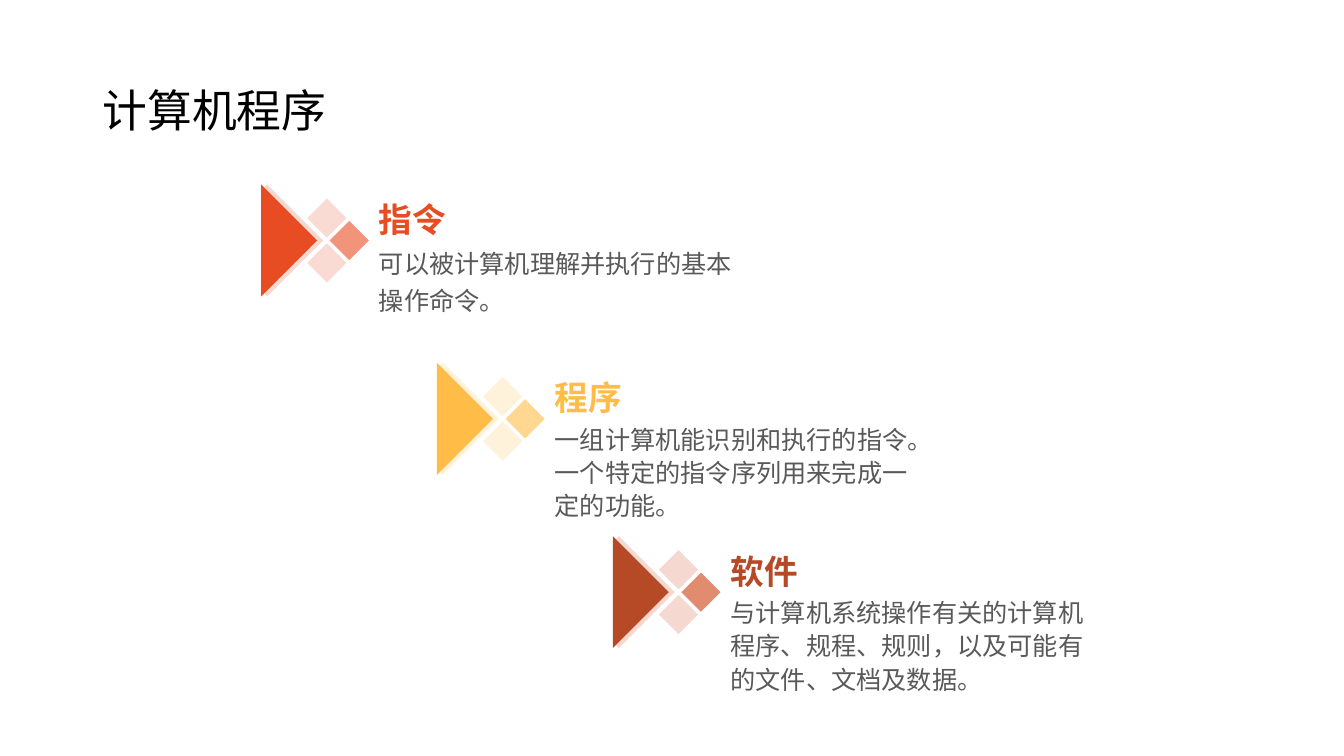
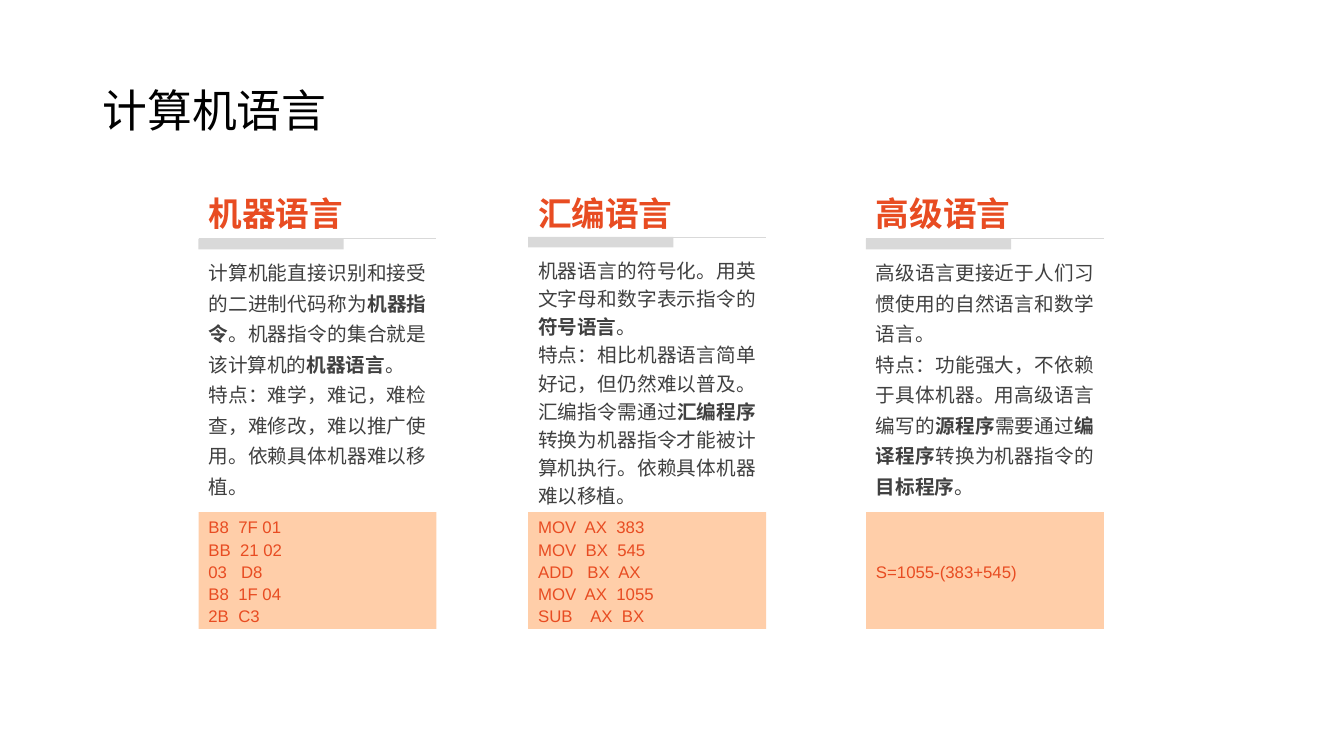
import pptx
import pptx.dml.color
import pptx.enum.shapes
import pptx.enum.text
import pptx.oxml.ns
import pptx.util
from lxml import etree

Pt = pptx.util.Pt
ALIGN = pptx.enum.text.PP_ALIGN
ANCHOR = pptx.enum.text.MSO_ANCHOR
SHAPE = pptx.enum.shapes.MSO_SHAPE

CJK = "Noto Sans CJK SC"
BLACK, GREY, DARK_GREY, RULE_GREY = "000000", "595959", "404040", "D9D9D9"
ORANGE, YELLOW, BROWN, PEACH = "E84C22", "FFBD47", "B64926", "FFCEA9"

# top, main colour, pale diamonds, front diamond, triangle edge, line spacing, heading, paragraphs
CONCEPTS = [
    (131.8, ORANGE, "FADBD3", "F1947A", "F5D8CF", 1.2, "指令",
     ["可以被计算机理解并执行的基本操作命令。"]),
    (259.2, YELLOW, "FFF2DA", "FFD791", "FFF2DA", 1.1, "程序",
     ["一组计算机能识别和执行的指令。", "一个特定的指令序列用来完成一定的功能。"]),
    (383, BROWN, "F5D8CF", "E18B6F", "F5D8CF", 1.1, "软件",
     ["与计算机系统操作有关的计算机程序、规程、规则，以及可能有的文件、文档及数据。"]),
]

# left, rule top, line spacing, heading, paragraphs (bold between asterisks), code
LANGUAGES = [
    (141.8, 170.6, 1.3, "机器语言",
     ["计算机能直接识别和接受的二进制代码称为*机器指令*。机器指令的集合就是该计算机的*机器语言*。",
      "特点：难学，难记，难检查，难修改，难以推广使用。依赖具体机器难以移植。"],
     ["B8  7F 01", "BB  21 02", "03   D8", "B8  1F 04", "2B  C3"]),
    (377.3, 169.2, 1.2, "汇编语言",
     ["机器语言的符号化。用英文字母和数字表示指令的*符号语言*。",
      "特点：相比机器语言简单好记，但仍然难以普及。汇编指令需通过*汇编程序*"
      "转换为机器指令才能被计算机执行。依赖具体机器难以移植。"],
     ["MOV  AX  383", "MOV  BX  545", "ADD   BX  AX", "MOV  AX  1055", "SUB    AX  BX"]),
    (618.6, 170.6, 1.3, "高级语言",
     ["高级语言更接近于人们习惯使用的自然语言和数学语言。",
      "特点：功能强大，不依赖于具体机器。用高级语言编写的*源程序*需要通过*编译程序*"
      "转换为机器指令的*目标程序*。"],
     ["S=1055-(383+545)"]),
]


def rgb(value):
    return pptx.dml.color.RGBColor.from_string(value)


def write(sp, paragraphs, size, color, font=CJK, bold=False, spacing=1.0,
          align=ALIGN.LEFT, anchor=ANCHOR.TOP):
    """Fill a shape with paragraphs; text between asterisks becomes bold."""
    tf = sp.text_frame
    tf.word_wrap = True
    tf.auto_size = pptx.enum.text.MSO_AUTO_SIZE.NONE
    tf.vertical_anchor = anchor
    for i, text in enumerate(paragraphs):
        p = tf.add_paragraph() if i else tf.paragraphs[0]
        p.alignment, p.line_spacing = align, spacing
        p.font.size, p.font.name, p.font.bold = Pt(size), font, bold
        p.font.color.rgb = rgb(color)
        props = p.font._element if hasattr(p.font, "_element") else p.font._rPr
        etree.SubElement(props, pptx.oxml.ns.qn("a:ea"), typeface=font)
        for j, part in enumerate(text.split("*")):
            r = p.add_run()
            r.text = part
            if j % 2:
                r.font.bold = True


def add_text(s, left, top, width, height, paragraphs, size, color, **style):
    sp = s.shapes.add_textbox(Pt(left), Pt(top), Pt(width), Pt(height))
    write(sp, paragraphs, size, color, **style)


def add_heading(s, left, top, width, height, text, color):
    add_text(s, left, top, width, height, [text], 24, color, bold=True, anchor=ANCHOR.BOTTOM)


def paint(sp, color):
    sp.shadow.inherit = False
    sp.fill.solid()
    sp.fill.fore_color.rgb = rgb(color)
    sp.line.fill.background()


def add_box(s, kind, left, top, width, height, color):
    sp = s.shapes.add_shape(kind, Pt(left), Pt(top), Pt(width), Pt(height))
    paint(sp, color)
    return sp


def add_polygon(s, left, top, points, color):
    corners = [(Pt(left + x), Pt(top + y)) for x, y in points]
    builder = s.shapes.build_freeform(*corners[0], scale=1.0)
    builder.add_line_segments(corners[1:], close=True)
    paint(builder.convert_to_shape(), color)


def add_rule(s, left, top, width, color):
    cn = s.shapes.add_connector(pptx.enum.shapes.MSO_CONNECTOR.STRAIGHT,
                                Pt(left), Pt(top), Pt(left + width), Pt(top))
    cn.line.color.rgb = rgb(color)
    cn.line.width = Pt(0.5)
    etree.SubElement(cn._element.spPr, pptx.oxml.ns.qn("a:effectLst"))


def add_titled_slide(prs, title):
    s = prs.slides.add_slide(prs.slide_layouts[5])
    sp = s.shapes.title
    sp.left, sp.top, sp.width, sp.height = Pt(66), Pt(28.8), Pt(828), Pt(104.4)
    write(sp, [title], 32, BLACK, spacing=0.9, anchor=ANCHOR.MIDDLE)
    return s


def add_marker(s, left, top, main_color, pale, front, edge):
    """Arrow made of a triangle, its pale edge and three diamonds."""
    for x, y, color in [(33, 10, pale), (33, 42, pale), (49, 26, front)]:
        add_box(s, SHAPE.DIAMOND, left + x, top + y, 28, 28, color)
    add_polygon(s, left, top, [(4.3, 0), (44.3, 40), (4.3, 80), (2.2, 77.8),
                               (40, 40), (2.2, 2.2)], edge)
    add_polygon(s, left, top, [(0, 0), (40, 40), (0, 80)], main_color)


def add_concept(s, left, concept):
    top, color, pale, front, edge, spacing, heading, paragraphs = concept
    add_marker(s, left, top, color, pale, front, edge)
    add_text(s, left + 77, top + 38, 276, 83, paragraphs, 18, GREY, spacing=spacing)
    add_heading(s, left + 77, top, 276, 42.5, heading, color)


def add_language(s, language):
    left, rule_top, spacing, heading, paragraphs, code = language
    width = 170
    add_heading(s, left, 136, width, 34, heading, ORANGE)
    add_text(s, left, 177.8, width, 193, paragraphs, 14, DARK_GREY,
             spacing=spacing, align=ALIGN.JUSTIFY)
    sp = add_box(s, SHAPE.RECTANGLE, left, 365.8, width, 83.5, PEACH)
    write(sp, code, 12, ORANGE, font="Arial", spacing=1.1,
          align=ALIGN.JUSTIFY, anchor=ANCHOR.MIDDLE)
    add_box(s, SHAPE.RECTANGLE, left, rule_top, 103.7, 7.6, RULE_GREY)
    add_rule(s, left, rule_top, width, RULE_GREY)


def main():
    prs = pptx.Presentation()
    prs.slide_width, prs.slide_height = Pt(960), Pt(540)

    s = add_titled_slide(prs, "计算机程序")
    for i, concept in enumerate(CONCEPTS):
        add_concept(s, 186.5 + 125.6 * i, concept)

    s = add_titled_slide(prs, "计算机语言")
    for language in LANGUAGES:
        add_language(s, language)

    prs.save("out.pptx")


if __name__ == "__main__":
    main()
